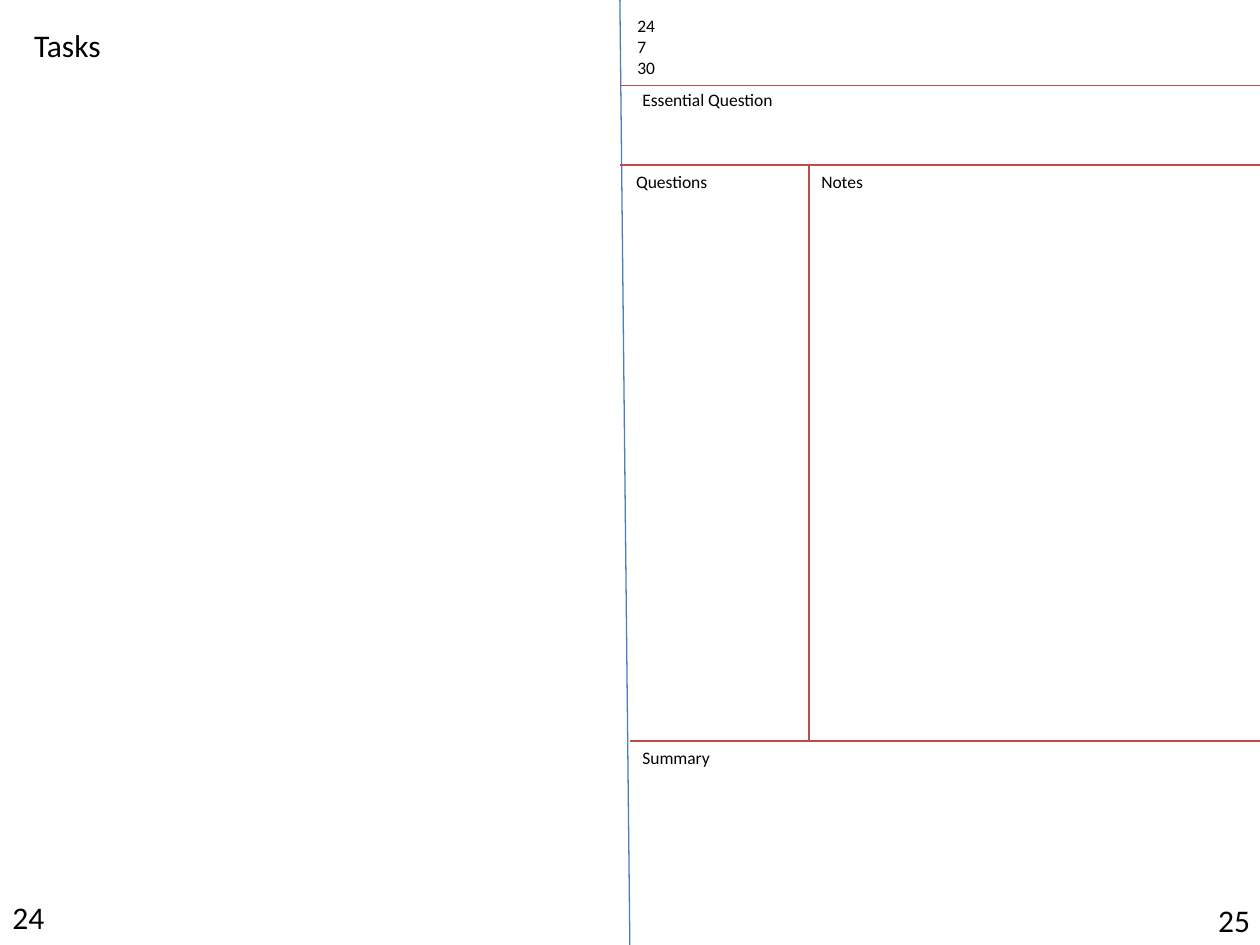
from lxml.etree import SubElement
from pptx import Presentation
from pptx.dml.color import RGBColor
from pptx.enum.shapes import MSO_CONNECTOR
from pptx.enum.text import MSO_ANCHOR, MSO_AUTO_SIZE, PP_ALIGN
from pptx.oxml.ns import qn
from pptx.util import Inches, Pt

WIDTH, HEIGHT = 10, 7.5
BLUE, RED, BLACK = "4B7EBC", "BF4C48", "000000"
FOLD, INNER = 4.92, 5
HEAD, TOP, BASE = 0.68, 1.31, 5.88
SPLIT = 6.42

RULES = [
    (FOLD, 0, INNER, 7.61, BLUE),
    (FOLD, HEAD, WIDTH, HEAD, RED),
    (FOLD, TOP, WIDTH, TOP, RED),
    (INNER, BASE, 10.17, BASE, RED),
    (SPLIT, TOP, SPLIT, BASE, RED),
]

# text, left, top, width, height, size, wrap
LABELS = [
    ("24", 0, 7.08, 0.46, 0.4, 18, False),
    ("25", 9.57, 7.1, 0.6, 0.4, 18, True),
    ("24\n7\n30", 4.96, 0.07, 0.47, 0.61, 10, True),
    ("Essential Question", INNER, 0.66, 1.25, 0.27, 10, False),
    ("Notes", SPLIT, TOP, 0.54, 0.27, 10, False),
    ("Questions", 4.95, TOP, 0.78, 0.27, 10, False),
    ("Summary", INNER, BASE, 0.74, 0.27, 10, False),
]


def color(code):
    return RGBColor.from_string(code)


def add_rule(slide, x1, y1, x2, y2, code):
    rule = slide.shapes.add_connector(
        MSO_CONNECTOR.STRAIGHT, Inches(x1), Inches(y1), Inches(x2), Inches(y2))
    rule.line.color.rgb = color(code)
    rule.line.width = Pt(0.75)
    SubElement(rule._element.spPr, qn("a:effectLst"))


def write(shape, text, size, wrap):
    frame = shape.text_frame
    frame.text = text
    layout = {"word_wrap": wrap, "auto_size": MSO_AUTO_SIZE.SHAPE_TO_FIT_TEXT,
              "vertical_anchor": MSO_ANCHOR.TOP}
    for name, value in layout.items():
        setattr(frame, name, value)
    for para in frame.paragraphs:
        para.alignment = PP_ALIGN.LEFT
        for name, value in {"name": "Calibri", "size": Pt(size)}.items():
            setattr(para.font, name, value)
        para.font.color.rgb = color(BLACK)


def add_label(slide, text, left, top, width, height, size, wrap):
    box = slide.shapes.add_textbox(
        Inches(left), Inches(top), Inches(width), Inches(height))
    write(box, text, size, wrap)


def set_title(slide, text, left, top, width, height, size):
    title = slide.shapes.title
    place = {"left": left, "top": top, "width": width, "height": height}
    for name, value in place.items():
        setattr(title, name, Inches(value))
    write(title, text, size, False)


def main():
    deck = Presentation()
    deck.slide_width, deck.slide_height = Inches(WIDTH), Inches(HEIGHT)
    slide = deck.slides.add_slide(deck.slide_layouts[5])
    set_title(slide, "Tasks", 0.17, 0.16, 0.73, 0.4, 18)
    for rule in RULES:
        add_rule(slide, *rule)
    for label in LABELS:
        add_label(slide, *label)
    deck.save("out.pptx")


if __name__ == "__main__":
    main()
